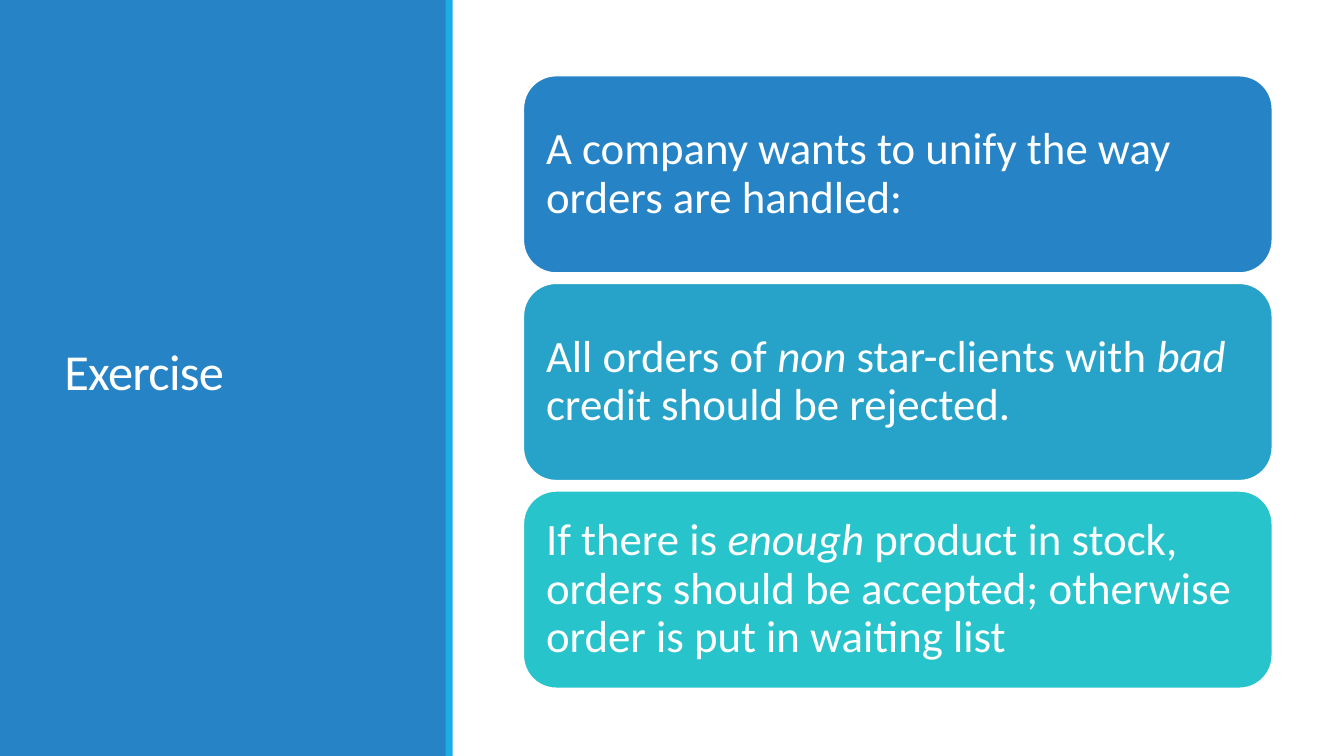
from dataclasses import dataclass

from pptx import Presentation
from pptx.dml.color import RGBColor
from pptx.enum import shapes, text
from pptx.util import Inches, Pt

BLUE = RGBColor(0x26, 0x83, 0xC6)
SKY = RGBColor(0x1C, 0xAD, 0xE4)
OCEAN = RGBColor(0x27, 0xA3, 0xC9)
TURQUOISE = RGBColor(0x28, 0xC4, 0xCC)
WHITE = RGBColor(0xFF, 0xFF, 0xFF)
FONT = "Calibri"

CARD_LEFT, CARD_TOP = 5.19, 0.75
CARD_WIDTH, CARD_HEIGHT = 7.43, 1.96
CARD_STEP = 2.06
CARD_INSET = 0.13


@dataclass(frozen=True)
class Card:
    fill: RGBColor
    phrases: tuple[str, ...]  # upright and italic wording in turn


CARDS = (
    Card(BLUE, ("A company wants to unify the way orders are handled:",)),
    Card(OCEAN, ("All orders of ", "non ", "star-clients with ", "bad ",
                 "credit should be rejected.")),
    Card(TURQUOISE, ("If there is ", "enough ",
                     "product in stock, orders should be accepted; "
                     "otherwise order is put in waiting list")),
)


def add_block(page, kind, left: float, top: float, width: float,
              height: float, fill: RGBColor):
    block = page.shapes.add_shape(kind, Inches(left), Inches(top),
                                  Inches(width), Inches(height))
    block.shadow.inherit = False
    block.fill.solid()
    block.fill.fore_color.rgb = fill
    block.line.fill.background()
    return block


def style_text(box, size: float, line_spacing: float):
    """Prepare a box for left-aligned white text and return its paragraph."""
    frame = box.text_frame
    frame.word_wrap = True
    frame.vertical_anchor = text.MSO_ANCHOR.MIDDLE
    para = frame.paragraphs[0]
    para.alignment = text.PP_ALIGN.LEFT
    para.line_spacing = line_spacing
    para.font.name = FONT
    para.font.size = Pt(size)
    para.font.color.rgb = WHITE
    return para


def add_title(page, wording: str) -> None:
    box = page.shapes.add_textbox(Inches(0.54), Inches(0.57),
                                  Inches(3.37), Inches(6.31))
    span = style_text(box, 36, 0.85).add_run()
    span.text = wording
    span._r.get_or_add_rPr().set("spc", "-50")  # tighter letters


def add_card(page, card: Card, top: float) -> None:
    box = add_block(page, shapes.MSO_SHAPE.ROUNDED_RECTANGLE, CARD_LEFT, top,
                    CARD_WIDTH, CARD_HEIGHT, card.fill)
    box.line.color.rgb = WHITE
    box.line.width = Pt(1.25)
    frame = box.text_frame
    frame.margin_left = frame.margin_right = Inches(CARD_INSET)
    frame.margin_top = frame.margin_bottom = Inches(CARD_INSET)
    para = style_text(box, 32, 0.9)
    for index, wording in enumerate(card.phrases):
        span = para.add_run()
        span.text = wording
        if index % 2:
            span.font.italic = True


def main() -> None:
    deck = Presentation()
    deck.slide_width, deck.slide_height = Inches(13.33), Inches(7.5)
    page = deck.slides.add_slide(deck.slide_layouts[6])

    # Side panel with title and accent stripe
    add_block(page, shapes.MSO_SHAPE.RECTANGLE, 0, 0, 4.43, 7.5, BLUE)
    add_title(page, "Exercise")
    add_block(page, shapes.MSO_SHAPE.RECTANGLE, 4.42, 0, 0.07, 7.5, SKY)

    # Stack of cards
    for row, card in enumerate(CARDS):
        add_card(page, card, CARD_TOP + row * CARD_STEP)

    deck.save("out.pptx")


if __name__ == "__main__":
    main()
